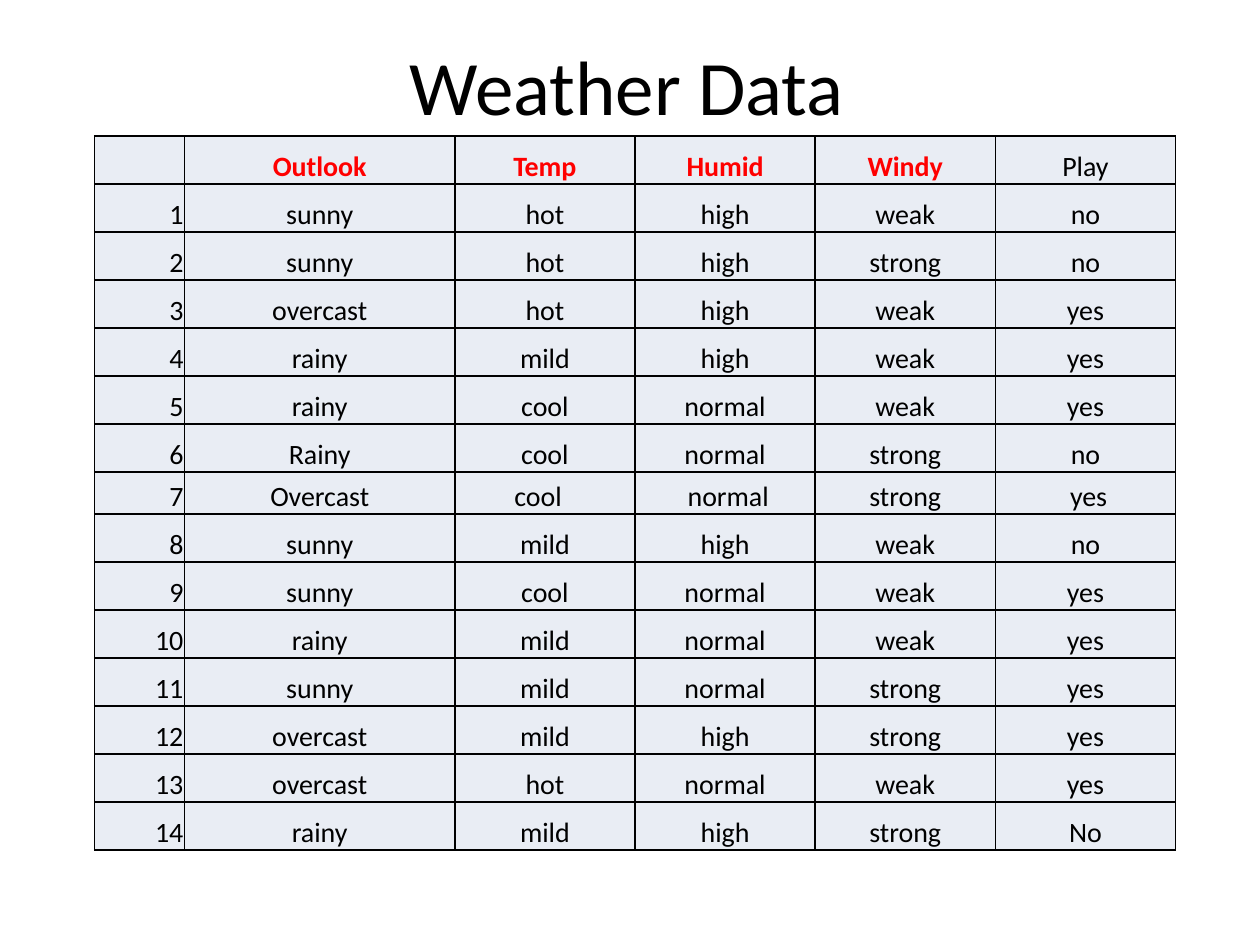
import pptx
import pptx.dml.color
import pptx.enum.text
import pptx.oxml
import pptx.oxml.ns
import pptx.util
from pptx.util import Inches, Pt

ALIGN = pptx.enum.text.PP_ALIGN
ANCHOR = pptx.enum.text.MSO_ANCHOR
BLACK, RED, PALE = "000000", "FF0000", "E9EDF4"

HEADINGS = ["", "Outlook", "Temp", "Humid", "Windy", "Play"]
OBSERVATIONS = [
    "sunny hot high weak no",
    "sunny hot high strong no",
    "overcast hot high weak yes",
    "rainy mild high weak yes",
    "rainy cool normal weak yes",
    "Rainy cool normal strong no",
    "Overcast cool normal strong yes",
    "sunny mild high weak no",
    "sunny cool normal weak yes",
    "rainy mild normal weak yes",
    "sunny mild normal strong yes",
    "overcast mild high strong yes",
    "overcast hot normal weak yes",
    "rainy mild high strong No",
]
COLUMN_SHARES = [1, 3, 2, 2, 2, 2]
SHORT_ROW, SHORT_HEIGHT = 7, 0.33
CELL_NUDGES = {
    (7, 2): {"margin_right": Inches(0.12)},
    (7, 3): {"margin_left": Inches(0.06)},
    (7, 5): {"margin_left": Inches(0.06)},
}


def color(value):
    return pptx.dml.color.RGBColor.from_string(value)


def apply(target, values):
    for name, value in values.items():
        setattr(target, name, value)


class SlideBuilder:
    """Hold the text style and the slide being built."""

    font_name = "Calibri"

    def __init__(self, deck):
        self.slide = deck.slides.add_slide(deck.slide_layouts[5])

    def text(self, frame, words, size, align, ink=BLACK, bold=False):
        para = frame.paragraphs[0]
        para.alignment = align
        span = para.add_run()
        span.text = words
        apply(span.font, {"name": self.font_name, "size": Pt(size), "bold": bold})
        span.font.color.rgb = color(ink)

    def title(self, words, left, top, width, height):
        box = self.slide.shapes.title
        apply(box, {"left": Inches(left), "top": Inches(top),
                    "width": Inches(width), "height": Inches(height)})
        box.text_frame.vertical_anchor = ANCHOR.MIDDLE
        self.text(box.text_frame, words, 44, ALIGN.CENTER)

    def border(self, cell):
        properties = cell._tc.get_or_add_tcPr()
        namespace = pptx.oxml.ns.nsdecls("a")
        for position, side in enumerate(("lnL", "lnR", "lnT", "lnB")):
            properties.insert(position, pptx.oxml.parse_xml(
                f'<a:{side} {namespace} w="{Pt(1)}"><a:solidFill>'
                f'<a:srgbClr val="{BLACK}"/></a:solidFill></a:{side}>'))

    def cell(self, cell, words, align, ink, bold, nudge):
        margins = {"margin_left": Inches(0.01), "margin_right": Inches(0.01),
                   "margin_top": Inches(0.01), "margin_bottom": 0}
        apply(cell, {**margins, **nudge, "vertical_anchor": ANCHOR.BOTTOM})
        cell.fill.solid()
        cell.fill.fore_color.rgb = color(PALE)
        self.border(cell)
        if words:
            self.text(cell.text_frame, words, 16, align, ink, bold)

    def table(self, rows, left, top, width, height):
        frame = self.slide.shapes.add_table(
            len(rows), len(COLUMN_SHARES), Inches(left), Inches(top),
            Inches(width), Inches(height))
        grid = frame.table
        apply(grid, {"first_row": False, "horz_banding": False})
        for column, share in zip(grid.columns, COLUMN_SHARES):
            column.width = Inches(width * share / sum(COLUMN_SHARES))
        row_height = (height - SHORT_HEIGHT) / (len(rows) - 1)
        for r, row in enumerate(rows):
            grid.rows[r].height = Inches(SHORT_HEIGHT if r == SHORT_ROW else row_height)
            for c, words in enumerate(row):
                attribute = r == 0 and words != "Play"
                self.cell(grid.cell(r, c), words,
                          ALIGN.RIGHT if c == 0 else ALIGN.CENTER,
                          RED if attribute else BLACK, attribute,
                          CELL_NUDGES.get((r, c), {}))


def main():
    deck = pptx.Presentation()
    apply(deck, {"slide_width": Inches(10), "slide_height": Inches(7.5)})
    builder = SlideBuilder(deck)
    builder.title("Weather Data\t", 0.5, 0.17, 9, 1)
    days = [[str(number), *line.split()] for number, line in enumerate(OBSERVATIONS, 1)]
    builder.table([HEADINGS, *days], 0.75, 1.08, 8.58, 5.67)
    deck.save("out.pptx")


if __name__ == "__main__":
    main()
